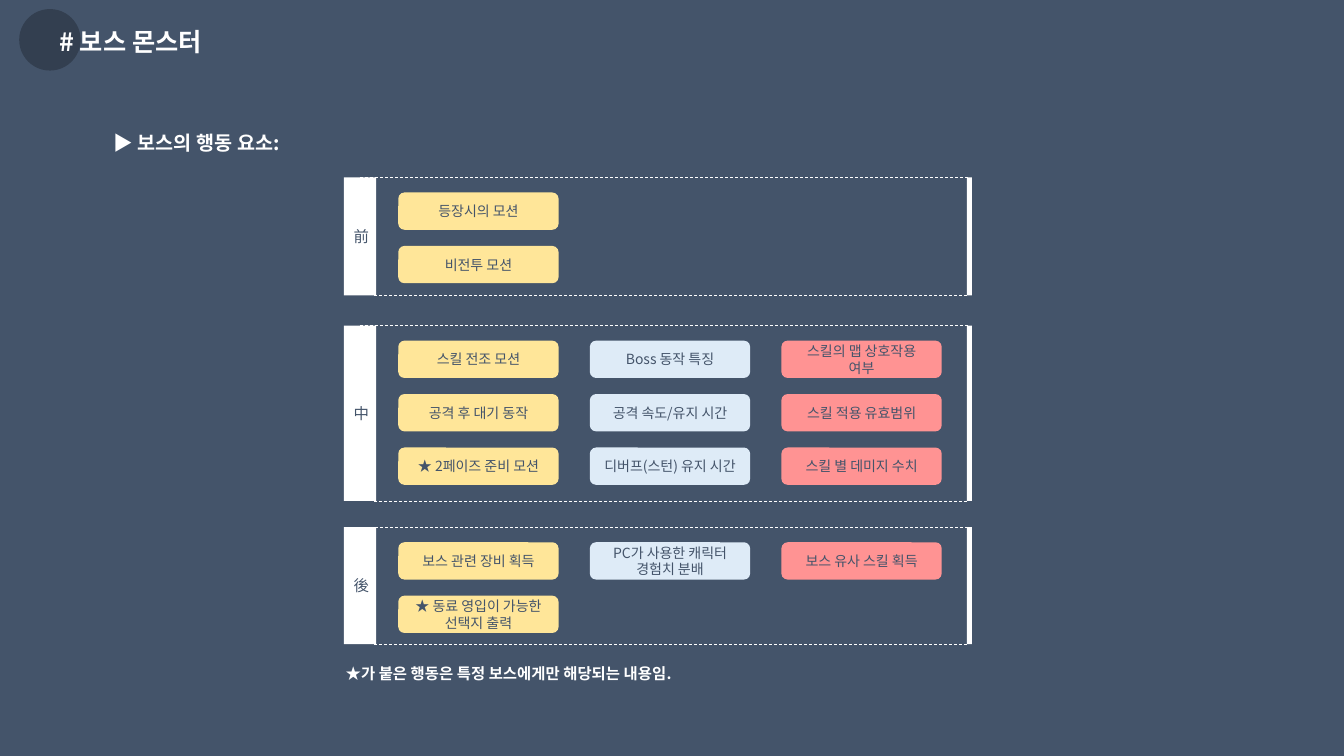
from lxml import etree
from pptx import Presentation
from pptx import util as u
from pptx.dml.color import RGBColor
from pptx.enum import dml, shapes, text
from pptx.oxml.ns import qn

FONT = "Noto Sans CJK KR"
COLORS = {
    "slate": "44546A", "dark": "333F50", "white": "FFFFFF",
    "yellow": "FFE699", "blue": "DEEBF7", "red": "FF9393",
}

# text, left, top, width, height, size
HEADINGS = [
    ("# 보스 몬스터", 0.49, 0.21, 2.84, 0.4, 18),
    ("▶ 보스의 행동 요소:", 1.03, 1.25, 2.84, 0.34, 14),
    ("★가 붙은 행동은 특정 보스에게만 해당되는 내용임.", 3.33, 6.54, 4.41, 0.29, 11),
]

# Each phase: label, top, height, then the cards of each column from top to bottom
PHASES = [
    ("前", 1.76, 1.17, [["등장시의 모션", "비전투 모션"]]),
    ("中", 3.23, 1.74, [
        ["스킬 전조 모션", "공격 후 대기 동작", "★ 2페이즈 준비 모션"],
        ["Boss 동작 특징", "공격 속도/유지 시간", "디버프(스턴) 유지 시간"],
        ["스킬의 맵 상호작용\n여부", "스킬 적용 유효범위", "스킬 별 데미지 수치"],
    ]),
    ("後", 5.23, 1.16, [
        ["보스 관련 장비 획득", "★ 동료 영입이 가능한 선택지 출력"],
        ["PC가 사용한 캐릭터\n경험치 분배"],
        ["보스 유사 스킬 획득"],
    ]),
]

COLUMN_COLORS = ["yellow", "blue", "red"]
CARD_LEFT, COLUMN_PITCH, CARD_WIDTH = 3.95, 1.9, 1.59
CARD_INSET, ROW_PITCH, CARD_HEIGHT = 0.15, 0.53, 0.37
LABEL_LEFT, LABEL_WIDTH = 3.41, 0.32
END_LEFT, END_WIDTH = 9.59, 0.05
TOP_LINE_LEFT, BOTTOM_LINE_LEFT, LINE_RIGHT = 3.57, 3.71, 9.61


def rgb(color):
    return RGBColor.from_string(COLORS[color])


def write(shape, content, size, color, align, bold=False):
    frame = shape.text_frame
    frame.word_wrap = True
    frame.text = content
    for paragraph in frame.paragraphs:
        paragraph.alignment = align
        font = paragraph.font
        font.name, font.size, font.bold = FONT, u.Pt(size), bold
        font.color.rgb = rgb(color)
        # East Asian glyphs take their typeface from a:ea
        properties = paragraph._p.pPr.find(qn("a:defRPr"))
        etree.SubElement(properties, qn("a:ea")).set("typeface", FONT)


def add_block(slide, kind, box, fill, content="", size=10):
    shape = slide.shapes.add_shape(kind, *map(u.Inches, box))
    shape.shadow.inherit = False
    shape.fill.solid()
    shape.fill.fore_color.rgb = rgb(fill)
    shape.line.fill.background()
    if content:
        shape.text_frame.vertical_anchor = text.MSO_ANCHOR.MIDDLE
        write(shape, content, size, "slate", text.PP_ALIGN.CENTER)


def add_dashed_line(slide, left, top):
    line = slide.shapes.add_connector(
        shapes.MSO_CONNECTOR.STRAIGHT,
        *map(u.Inches, (left, top, LINE_RIGHT, top)))
    line.line.color.rgb = rgb("white")
    line.line.width = u.Pt(0.5)
    line.line.dash_style = dml.MSO_LINE.DASH
    etree.SubElement(line._element.spPr, qn("a:effectLst"))


def add_phase(slide, label, top, height, columns):
    rectangle = shapes.MSO_SHAPE.RECTANGLE
    add_block(slide, rectangle, (LABEL_LEFT, top, LABEL_WIDTH, height), "white", label, 11)
    add_dashed_line(slide, TOP_LINE_LEFT, top)
    add_dashed_line(slide, BOTTOM_LINE_LEFT, top + height)
    add_block(slide, rectangle, (END_LEFT, top, END_WIDTH, height), "white")
    for column, (color, cards) in enumerate(zip(COLUMN_COLORS, columns)):
        for row, card in enumerate(cards):
            box = (CARD_LEFT + column * COLUMN_PITCH,
                   top + CARD_INSET + row * ROW_PITCH, CARD_WIDTH, CARD_HEIGHT)
            add_block(slide, shapes.MSO_SHAPE.ROUNDED_RECTANGLE, box, color, card)


def main():
    presentation = Presentation()
    presentation.slide_width = u.Inches(13.33)
    presentation.slide_height = u.Inches(7.5)
    slide = presentation.slides.add_slide(presentation.slide_layouts[6])
    slide.background.fill.solid()
    slide.background.fill.fore_color.rgb = rgb("slate")

    add_block(slide, shapes.MSO_SHAPE.OVAL, (0.19, 0.09, 0.61, 0.61), "dark")
    for content, *box, size in HEADINGS:
        heading = slide.shapes.add_textbox(*map(u.Inches, box))
        write(heading, content, size, "white", text.PP_ALIGN.LEFT, bold=True)
    for phase in PHASES:
        add_phase(slide, *phase)

    presentation.save("out.pptx")


if __name__ == "__main__":
    main()
